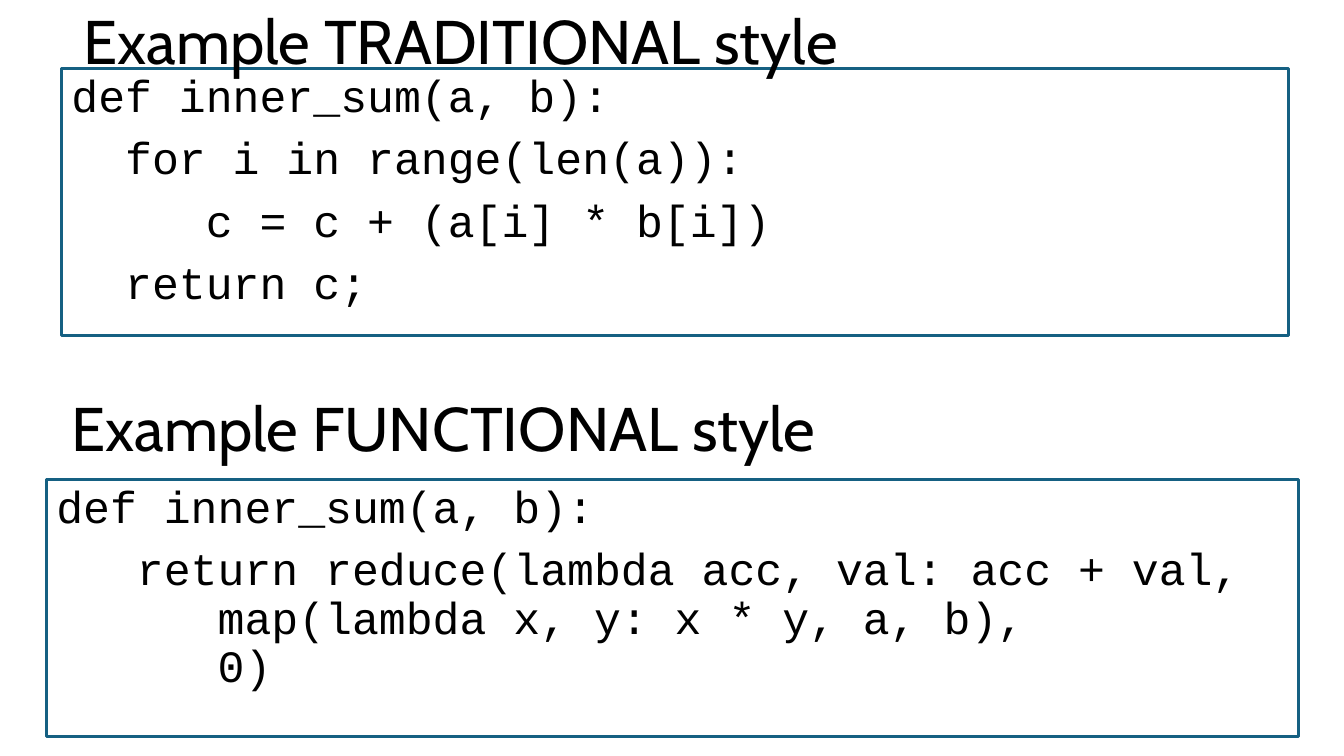
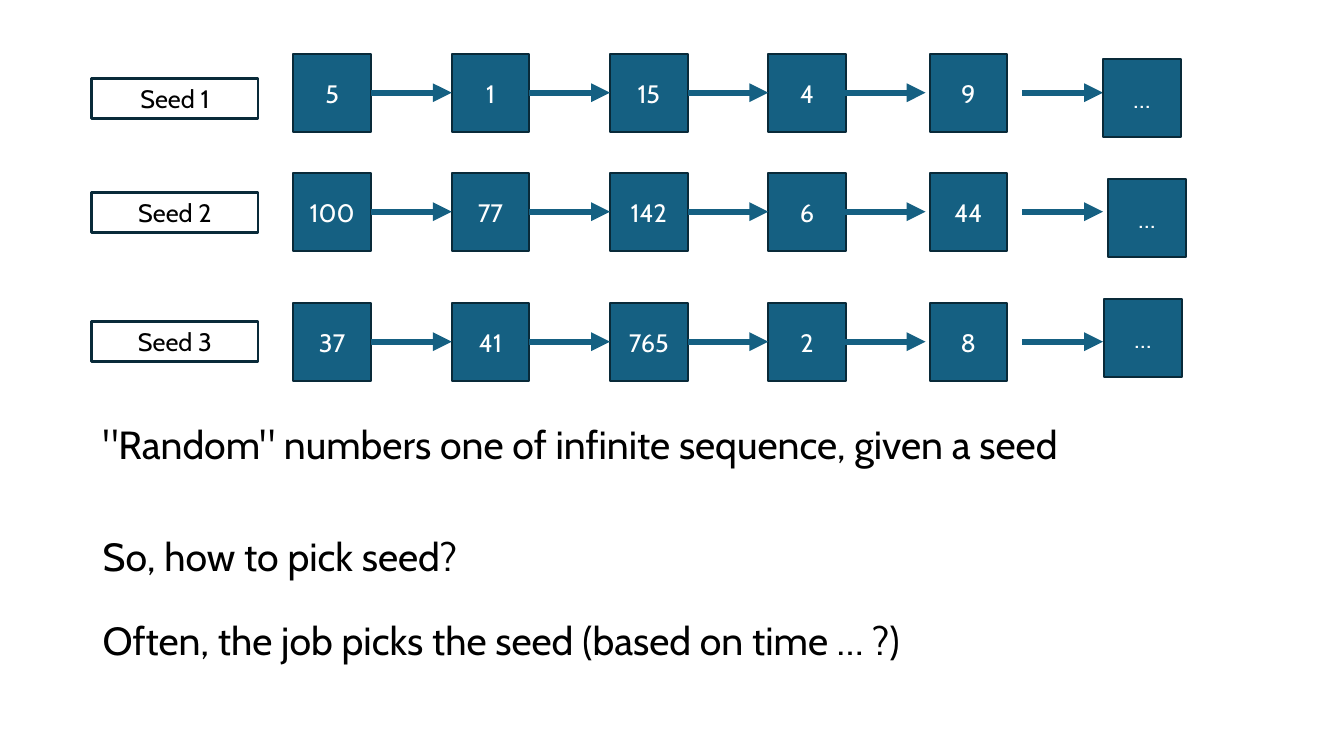
"""Build two slides on functional style and on seeded random sequences."""

import dataclasses
import typing

import pptx
import pptx.dml.color
import pptx.enum.shapes
import pptx.enum.text
import pptx.oxml.ns
import pptx.oxml.xmlchemy
import pptx.util
from lxml import etree

EMU_PER_PX = 9144
SLIDE_WIDTH, SLIDE_HEIGHT = 1333, 750

BLUE = pptx.dml.color.RGBColor(0x15, 0x60, 0x82)
NAVY = pptx.dml.color.RGBColor(0x09, 0x2A, 0x39)
BLACK = pptx.dml.color.RGBColor(0, 0, 0)
WHITE = pptx.dml.color.RGBColor(255, 255, 255)

ALIGN = pptx.enum.text.PP_ALIGN
ANCHOR = pptx.enum.text.MSO_ANCHOR
AUTO_SIZE = pptx.enum.text.MSO_AUTO_SIZE

Formats = dict[str, typing.Any]


@dataclasses.dataclass(frozen=True)
class Area:
    left: int
    top: int
    width: int
    height: int


@dataclasses.dataclass(frozen=True)
class TextStyle:
    font: Formats
    color: pptx.dml.color.RGBColor = BLACK
    paragraph: Formats = dataclasses.field(default_factory=dict)
    frame: Formats = dataclasses.field(default_factory=dict)


@dataclasses.dataclass(frozen=True)
class BoxStyle:
    text: TextStyle
    line: pptx.dml.color.RGBColor
    line_width: float
    fill: pptx.dml.color.RGBColor | None = None


@dataclasses.dataclass(frozen=True)
class Line:
    text: str
    space_before: int = 10


@dataclasses.dataclass(frozen=True)
class Example:
    title: str
    title_area: Area
    code: tuple[str, ...]
    code_area: Area


@dataclasses.dataclass(frozen=True)
class Sequence:
    seed: str
    label_top: int
    top: int
    numbers: tuple[str, ...]
    rest_left: int
    rest_top: int


TIGHT = {"line_spacing": 0.9}
CENTERED = {"alignment": ALIGN.CENTER}
SMALL = {"name": "Cabin", "size": pptx.util.Pt(18)}
TITLE = TextStyle({"name": "Cabin", "size": pptx.util.Pt(44)}, paragraph=TIGHT,
                  frame={"vertical_anchor": ANCHOR.MIDDLE})
BODY = TextStyle({"name": "Cabin", "size": pptx.util.Pt(28)}, paragraph=TIGHT)
CODE_BOX = BoxStyle(
    TextStyle({"name": "Courier New", "size": pptx.util.Pt(32)},
              paragraph={**TIGHT, "alignment": ALIGN.LEFT},
              frame={"vertical_anchor": ANCHOR.TOP}),
    BLUE, 2)
NUMBER_BOX = BoxStyle(
    TextStyle(SMALL, WHITE, CENTERED, {"vertical_anchor": ANCHOR.MIDDLE}),
    NAVY, 1.5, BLUE)
SEED_BOX = BoxStyle(
    TextStyle(SMALL, paragraph=CENTERED,
              frame={"vertical_anchor": ANCHOR.TOP,
                     "auto_size": AUTO_SIZE.SHAPE_TO_FIT_TEXT}),
    NAVY, 2)

BOX_SIZE = 77
BOX_LEFTS = (291, 448, 605, 762, 922)
ARROW_LEFTS = (368, 525, 682, 838, 1014)
ARROW_LENGTH = 80
SEED_LEFT, SEED_WIDTH, SEED_HEIGHT = 91, 165, 40

EXAMPLES = (
    Example("Example TRADITIONAL style", Area(73, -28, 1150, 145),
            ("def inner_sum(a, b):",
             "  for i in range(len(a)):",
             "     c = c + (a[i] * b[i])",
             "  return c;"),
            Area(61, 68, 1217, 265)),
    Example("Example FUNCTIONAL style", Area(61, 356, 1150, 145),
            ("def inner_sum(a, b):",
             "   return reduce(lambda acc, val: acc + val,\n"
             "      map(lambda x, y: x * y, a, b),\n"
             "      0)"),
            Area(46, 476, 1242, 255)),
)
SEQUENCES = (
    Sequence("Seed 1", 78, 54, ("5", "1", "15", "4", "9"), 1094, 59),
    Sequence("Seed 2", 191, 172, ("100", "77", "142", "6", "44"), 1099, 178),
    Sequence("Seed 3", 319, 301, ("37", "41", "765", "2", "8"), 1095, 297),
)
SEED_NOTES = (
    Line('"Random" numbers one of infinite sequence, given a seed'),
    Line("So, how to pick seed?", 50),
    Line("Often, the job picks the seed (based on time … ?)", 30),
)


def px(length: int) -> int:
    """Turn a length in px into EMU."""
    return pptx.util.Emu(length * EMU_PER_PX)


def place(area: Area) -> tuple[int, ...]:
    """Return the area's four lengths in EMU."""
    return tuple(px(length) for length in dataclasses.astuple(area))


def apply_formats(target: typing.Any, formats: Formats) -> None:
    """Set each named attribute on the target."""
    for name, value in formats.items():
        setattr(target, name, value)


def write_lines(shape: typing.Any, lines: typing.Sequence[Line], style: TextStyle) -> None:
    """Write one styled paragraph for each line."""
    frame = shape.text_frame
    apply_formats(frame, {"word_wrap": True, **style.frame})
    for index, line in enumerate(lines):
        paragraph = frame.add_paragraph() if index else frame.paragraphs[0]
        paragraph.text = line.text
        space_before = pptx.util.Pt(line.space_before if index else 0)
        apply_formats(paragraph, {**style.paragraph, "space_before": space_before})
        for run in paragraph.runs:
            apply_formats(run.font, style.font)
            run.font.color.rgb = style.color


def add_text(slide: typing.Any, area: Area, lines: typing.Sequence[Line], style: TextStyle) -> None:
    """Add a plain text box."""
    write_lines(slide.shapes.add_textbox(*place(area)), lines, style)


def add_box(slide: typing.Any, area: Area, lines: typing.Sequence[Line], style: BoxStyle) -> None:
    """Add an outlined rectangle with text."""
    shape = slide.shapes.add_shape(pptx.enum.shapes.MSO_SHAPE.RECTANGLE, *place(area))
    shape.shadow.inherit = False
    if style.fill is None:
        shape.fill.background()
    else:
        shape.fill.solid()
        shape.fill.fore_color.rgb = style.fill
    shape.line.color.rgb = style.line
    shape.line.width = pptx.util.Pt(style.line_width)
    write_lines(shape, lines, style.text)


def add_arrow(slide: typing.Any, left: int, top: int) -> None:
    """Add an arrow pointing right."""
    connector = slide.shapes.add_connector(
        pptx.enum.shapes.MSO_CONNECTOR.STRAIGHT,
        px(left), px(top), px(left + ARROW_LENGTH), px(top))
    connector.line.color.rgb = BLUE
    connector.line.width = pptx.util.Pt(4.5)
    qualify = pptx.oxml.ns.qn
    properties = connector._element.spPr
    etree.SubElement(properties.find(qualify("a:ln")), qualify("a:tailEnd"), type="triangle")
    etree.SubElement(properties, qualify("a:effectLst"))


def add_sequence(slide: typing.Any, sequence: Sequence) -> None:
    """Add a seed label and its chain of numbers."""
    add_box(slide, Area(SEED_LEFT, sequence.label_top, SEED_WIDTH, SEED_HEIGHT),
            [Line(sequence.seed)], SEED_BOX)
    for left, number in zip(BOX_LEFTS, sequence.numbers):
        add_box(slide, Area(left, sequence.top, BOX_SIZE, BOX_SIZE), [Line(number)], NUMBER_BOX)
    for left in ARROW_LEFTS:
        add_arrow(slide, left, sequence.top + BOX_SIZE // 2)
    add_box(slide, Area(sequence.rest_left, sequence.rest_top, BOX_SIZE, BOX_SIZE),
            [Line("…")], NUMBER_BOX)


def build_styles_slide(slide: typing.Any) -> None:
    """Show the same function in two styles."""
    for example in EXAMPLES:
        add_box(slide, example.code_area, [Line(text) for text in example.code], CODE_BOX)
        add_text(slide, example.title_area, [Line(example.title)], TITLE)


def build_seeds_slide(slide: typing.Any) -> None:
    """Show one number sequence for each seed."""
    for sequence in SEQUENCES:
        add_sequence(slide, sequence)
    add_text(slide, Area(92, 417, 1150, 310), SEED_NOTES, BODY)


def main() -> None:
    """Build and save the presentation."""
    presentation = pptx.Presentation()
    presentation.slide_width = px(SLIDE_WIDTH)
    presentation.slide_height = px(SLIDE_HEIGHT)
    for build in (build_styles_slide, build_seeds_slide):
        build(presentation.slides.add_slide(presentation.slide_layouts[6]))
    presentation.save("out.pptx")


if __name__ == "__main__":
    main()
